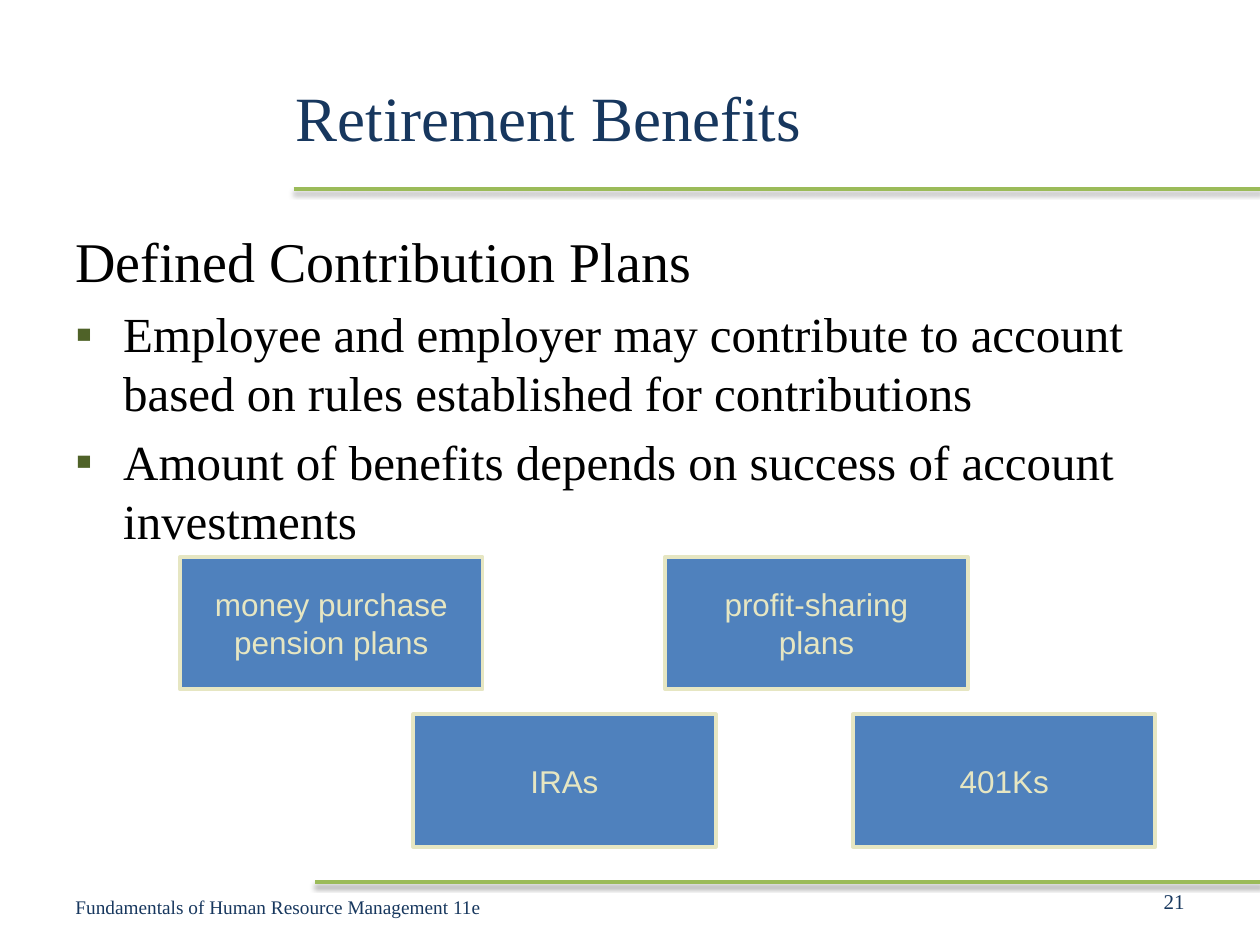
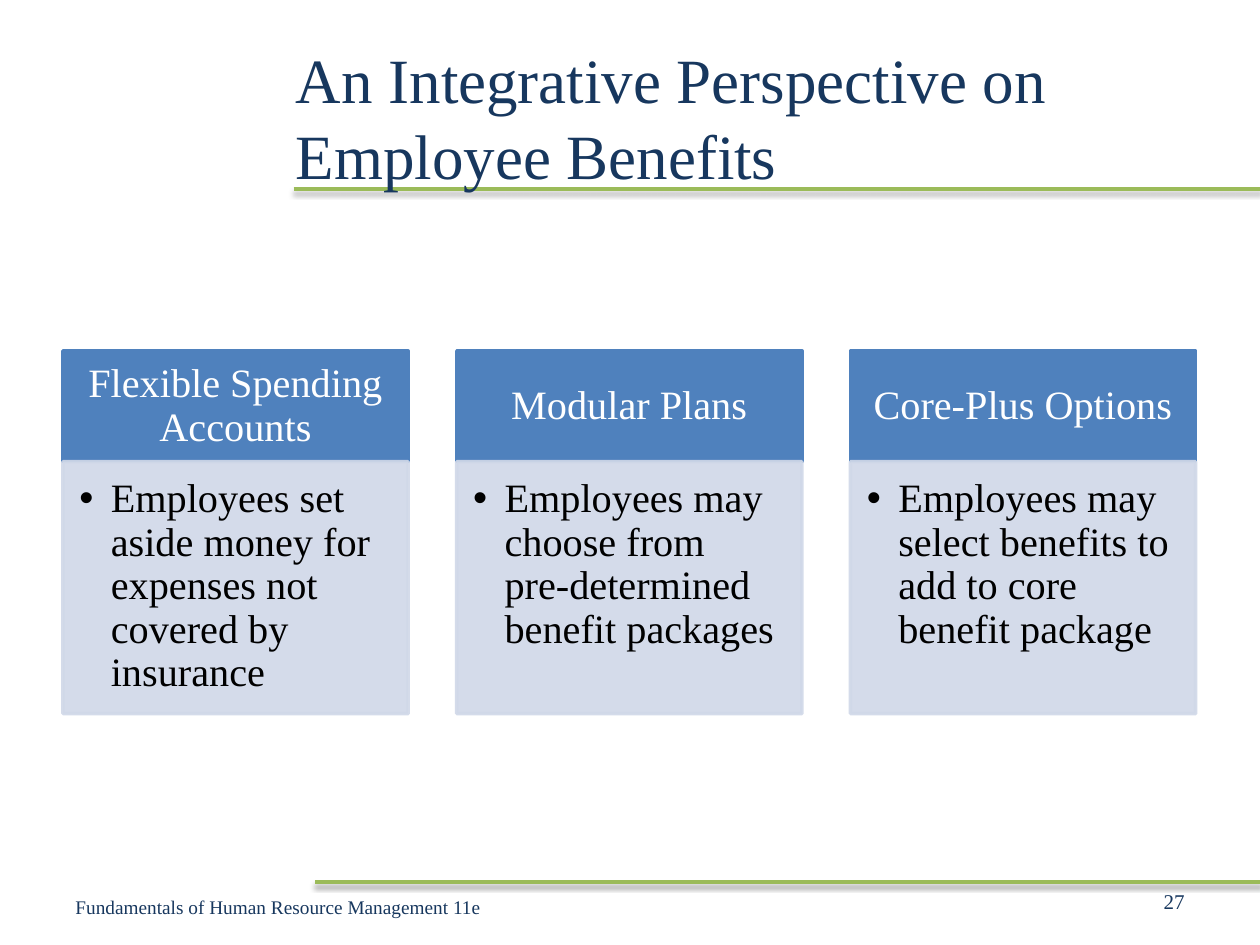
from lxml import etree
from pptx import Presentation
from pptx import util as u
from pptx.dml.color import RGBColor
from pptx.enum import shapes, text
from pptx.oxml.ns import qn

COLORS = {
    "green": "9BBB59", "bullet": "4F6228", "navy": "17375E", "blue": "4F81BD",
    "cream": "E6E6C2", "pale": "D0D8E8", "black": "000000", "white": "FFFFFF",
}
SERIF, SANS = "Times New Roman", "Arial"
COLS, ROWS = 40, 30
LEFT, CENTER, RIGHT = text.PP_ALIGN.LEFT, text.PP_ALIGN.CENTER, text.PP_ALIGN.RIGHT
TOP, MIDDLE = text.MSO_ANCHOR.TOP, text.MSO_ANCHOR.MIDDLE
FOOTER = "Fundamentals of Human Resource Management 11e"


def rgb(name):
    return RGBColor.from_string(COLORS[name])


def add_xml(parent, tag, **attrs):
    return etree.SubElement(parent, qn(tag), {k: str(v) for k, v in attrs.items()})


class Deck:
    def __init__(self):
        self.prs = Presentation()
        self.prs.slide_width, self.prs.slide_height = u.Inches(10), u.Inches(7.5)
        self.s = None

    def x(self, cols):
        return round(self.prs.slide_width * cols / COLS)

    def y(self, rows):
        return round(self.prs.slide_height * rows / ROWS)

    def place(self, col, row, cols, rows):
        return self.x(col), self.y(row), self.x(cols), self.y(rows)

    def slide(self, title, number):
        self.s = self.prs.slides.add_slide(self.prs.slide_layouts[6])
        self.rule(9.32, 6)
        self.rule(10, 28)
        self.paragraph(self.textbox(9, 1.2, 29, 5), title, 36, "navy")
        self.paragraph(self.textbox(28.68, 27.8, 9.32, 1.6), number, 12, "navy", align=RIGHT)
        self.paragraph(self.textbox(2, 28, 15, 1.6), FOOTER, 11, "navy")

    def rule(self, col, row):
        c = self.s.shapes.add_connector(
            shapes.MSO_CONNECTOR.STRAIGHT, self.x(col), self.y(row), self.x(COLS), self.y(row))
        c.line.color.rgb, c.line.width = rgb("green"), u.Pt(2)
        effects = add_xml(c._element.spPr, "a:effectLst")
        shadow = add_xml(effects, "a:outerShdw", blurRad=40000, dist=20000,
                         dir=5400000, rotWithShape=0)
        color = add_xml(shadow, "a:srgbClr", val=COLORS["black"])
        add_xml(color, "a:alpha", val=38000)

    def textbox(self, col, row, cols, rows, anchor=MIDDLE):
        tf = self.s.shapes.add_textbox(*self.place(col, row, cols, rows)).text_frame
        tf.word_wrap, tf.vertical_anchor = True, anchor
        return tf

    def box(self, col, row, cols, rows, fill, line, width=2, alpha=None,
            anchor=MIDDLE, wrap=True, insets=(0.1, 0.05, 0.1, 0.05)):
        sp = self.s.shapes.add_shape(
            shapes.MSO_SHAPE.RECTANGLE, *self.place(col, row, cols, rows))
        sp.shadow.inherit = False
        sp.fill.solid()
        sp.fill.fore_color.rgb = rgb(fill)
        sp.line.color.rgb, sp.line.width = rgb(line), u.Pt(width)
        if alpha:
            for color in sp._element.spPr.iter(qn("a:srgbClr")):
                add_xml(color, "a:alpha", val=alpha * 1000)
        tf = sp.text_frame
        tf.word_wrap, tf.vertical_anchor = wrap, anchor
        tf.margin_left, tf.margin_top, tf.margin_right, tf.margin_bottom = map(u.Inches, insets)
        return tf

    def paragraph(self, tf, words, size, color, font=SERIF, align=LEFT, before=0,
                  spacing=None, indent=0, bullet=None, bullet_color=None):
        p = tf.paragraphs[-1]
        if p.runs:
            p = tf.add_paragraph()
        p.add_run().text = words
        p.alignment, p.space_before, p.line_spacing = align, u.Pt(before), spacing
        pPr = p._p.get_or_add_pPr()
        if indent:
            pPr.set("marL", str(u.Inches(indent)))
            pPr.set("indent", str(-u.Inches(indent)))
        if bullet:
            if bullet_color:
                add_xml(add_xml(pPr, "a:buClr"), "a:srgbClr", val=COLORS[bullet_color])
            add_xml(pPr, "a:buFont", typeface=SANS)
            add_xml(pPr, "a:buChar", char=bullet)
        p.font.name, p.font.size, p.font.color.rgb = font, u.Pt(size), rgb(color)

    def plan(self, col, row, lines):
        tf = self.box(col, row, 9.6, 4.2, "blue", "cream", width=2.25, wrap=False)
        for line in lines:
            self.paragraph(tf, line, 18, "cream", font=SANS, align=CENTER)

    def card(self, col, heading, detail):
        width = 10.96
        head = self.box(col, 11.14, width, 3.52, "blue", "blue", insets=(0.18, 0.1, 0.18, 0.1))
        self.paragraph(head, heading, 23, "white", align=CENTER, spacing=0.9)
        body = self.box(col, 14.66, width, 8, "pale", "pale", alpha=90, anchor=TOP,
                        insets=(0.13, 0.13, 0.18, 0.2))
        self.paragraph(body, detail, 23, "black", spacing=0.9, indent=0.25, bullet="•")


def retirement_benefits(deck):
    deck.slide("Retirement Benefits", "21")
    body = deck.textbox(2, 7, 36, 19.8, anchor=TOP)
    deck.paragraph(body, "Defined Contribution Plans", 32, "black", before=6.4, indent=0.38)
    for point in (
        "Employee and employer may contribute to account based on rules "
        "established for contributions",
        "Amount of benefits depends on success of account investments",
    ):
        deck.paragraph(body, point, 28, "black", before=5.6, indent=0.38,
                       bullet="▪", bullet_color="bullet")
    upper, lower = 17.68, 22.68
    for col, row, lines in (
        (5.72, upper, ["money purchase", "pension plans"]),
        (21.12, upper, ["profit-sharing", "plans"]),
        (13.12, lower, ["IRAs"]),
        (27.08, lower, ["401Ks"]),
    ):
        deck.plan(col, row, lines)


def integrative_perspective(deck):
    deck.slide("An Integrative Perspective on Employee Benefits", "27")
    cards = (
        ("Flexible Spending Accounts",
         "Employees set aside money for expenses not covered by insurance"),
        ("Modular Plans", "Employees may choose from pre-determined benefit packages"),
        ("Core-Plus Options", "Employees may select benefits to add to core benefit package"),
    )
    for i, (heading, detail) in enumerate(cards):
        deck.card(2 + 12.5 * i, heading, detail)


def main():
    deck = Deck()
    retirement_benefits(deck)
    integrative_perspective(deck)
    deck.prs.save("out.pptx")


if __name__ == "__main__":
    main()
